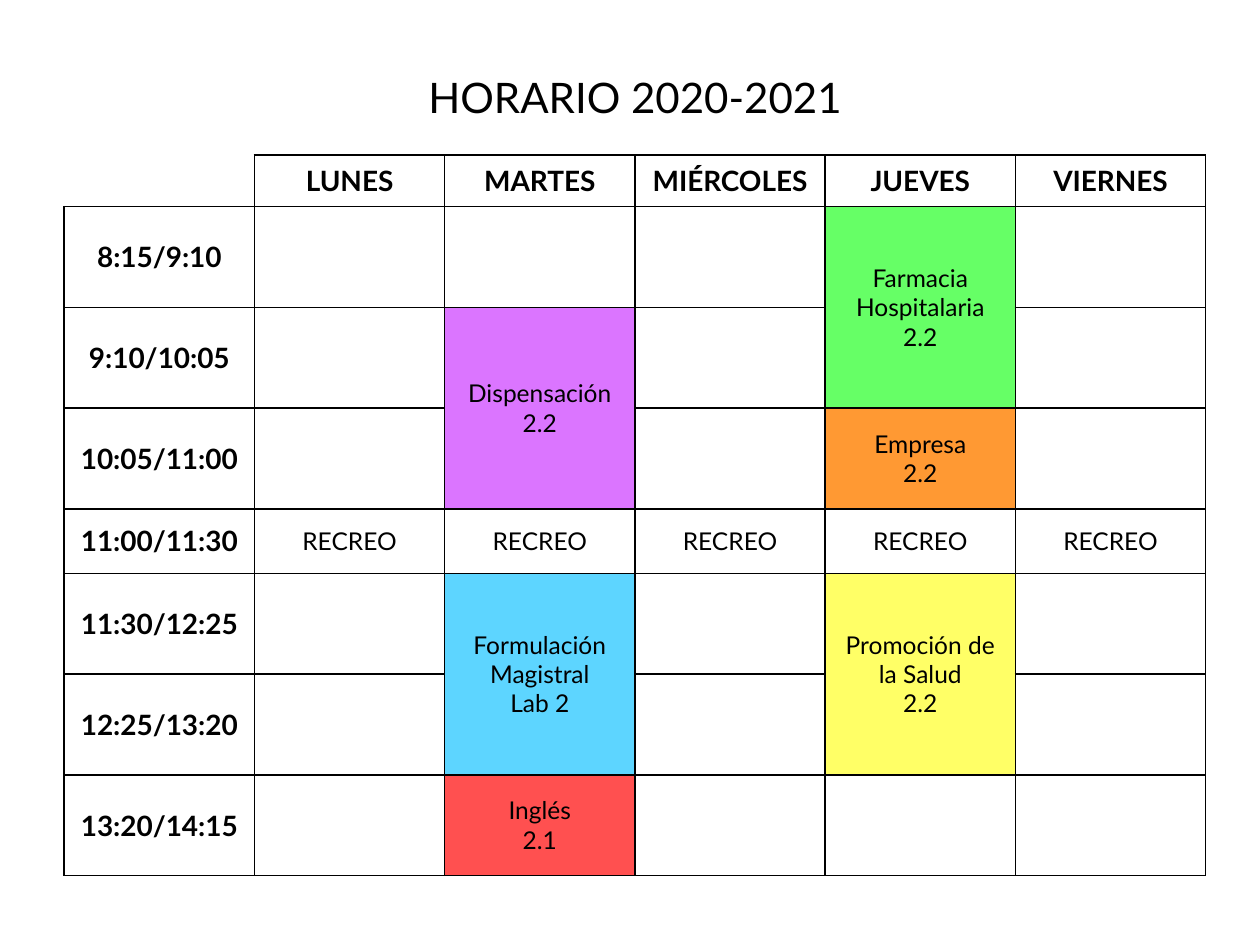
"""Build a weekly school timetable slide."""
from dataclasses import dataclass

from lxml.etree import SubElement as Sub
from pptx import Presentation
from pptx.dml.color import RGBColor as Rgb
from pptx.enum.text import MSO_ANCHOR as Anchor, PP_ALIGN as Align
from pptx.oxml.ns import qn
from pptx.util import Inches, Pt

INK = {
    "text": "000000", "paper": "FFFFFF", "green": "66FF66", "violet": "DB75FF",
    "orange": "FF9933", "blue": "5DD5FF", "yellow": "FFFF66", "red": "FF5050",
}
FONT = "Lato"
DAYS = ["LUNES", "MARTES", "MIÉRCOLES", "JUEVES", "VIERNES"]
HOURS = ["8:15/9:10", "9:10/10:05", "10:05/11:00", "11:00/11:30",
         "11:30/12:25", "12:25/13:20", "13:20/14:15"]
BREAK = 4
COL, HEAD, REST, HOUR = 1.51, 0.41, 0.51, 0.8


@dataclass(frozen=True)
class Class:
    row: int
    col: int
    name: str
    room: str
    ink: str
    span: int = 1


CLASSES = [
    Class(1, 4, "Farmacia Hospitalaria", "2.2", "green", 2),
    Class(2, 2, "Dispensación", "2.2", "violet", 2),
    Class(3, 4, "Empresa", "2.2", "orange"),
    Class(5, 2, "Formulación Magistral", "Lab 2", "blue", 2),
    Class(5, 4, "Promoción de la Salud", "2.2", "yellow", 2),
    Class(7, 2, "Inglés", "2.1", "red"),
]


def write(frame, text: str, size: int = 14, bold: bool = False) -> None:
    frame.text = text
    frame.word_wrap = True
    for par in frame.paragraphs:
        par.alignment = Align.CENTER
        par.font.size = Pt(size)
        for run in par.runs:
            font = run.font
            font.name, font.size, font.bold = FONT, Pt(size), bold
            font.color.rgb = Rgb.from_string(INK["text"])


def paint(cell, ink: str) -> None:
    cell.fill.solid()
    cell.fill.fore_color.rgb = Rgb.from_string(INK[ink])


def edge(cell, sides: str) -> None:
    props = cell._tc.get_or_add_tcPr()
    for side in "LRTB":
        line = Sub(props, qn(f"a:ln{side}"), w=str(Pt(1)))
        if side in sides:
            fill = Sub(line, qn("a:solidFill"))
            Sub(fill, qn("a:srgbClr"), val=INK["text"])
        else:
            Sub(line, qn("a:noFill"))


def label(row: int, col: int) -> str:
    if row == 0:
        return DAYS[col - 1] if col else ""
    if col == 0:
        return HOURS[row - 1]
    return "RECREO" if row == BREAK else ""


def draw(slide) -> None:
    rows, cols = len(HOURS) + 1, len(DAYS) + 1
    highs = [HEAD] + [REST if r == BREAK else HOUR for r in range(1, rows)]
    table = slide.shapes.add_table(
        rows, cols, Inches(0.51), Inches(1.23),
        Inches(COL * cols), Inches(sum(highs))).table
    table.first_row = table.horz_banding = False
    for col in table.columns:
        col.width = Inches(COL)
    for r, high in enumerate(highs):
        table.rows[r].height = Inches(high)
        for c in range(cols):
            cell = table.cell(r, c)
            head = r == 0 or c == 0
            cell.vertical_anchor = Anchor.MIDDLE
            write(cell.text_frame, label(r, c), size=16 if head else 14, bold=head)
            edge(cell, "LRTB" if r or c else "RB")
            paint(cell, "paper")
    for item in CLASSES:
        cell = table.cell(item.row, item.col)
        if item.span > 1:
            cell.merge(table.cell(item.row + item.span - 1, item.col))
        write(cell.text_frame, f"{item.name}\n{item.room}")
        paint(cell, item.ink)


def main() -> None:
    deck = Presentation()
    deck.slide_width, deck.slide_height = Inches(10), Inches(7.5)
    slide = deck.slides.add_slide(deck.slide_layouts[5])
    title = slide.shapes.title
    title.left, title.top = Inches(2.01), Inches(0.52)
    title.width, title.height = Inches(6.06), Inches(0.5)
    title.text_frame.vertical_anchor = Anchor.MIDDLE
    write(title.text_frame, "HORARIO 2020-2021", size=24)
    draw(slide)
    deck.save("out.pptx")


main()
